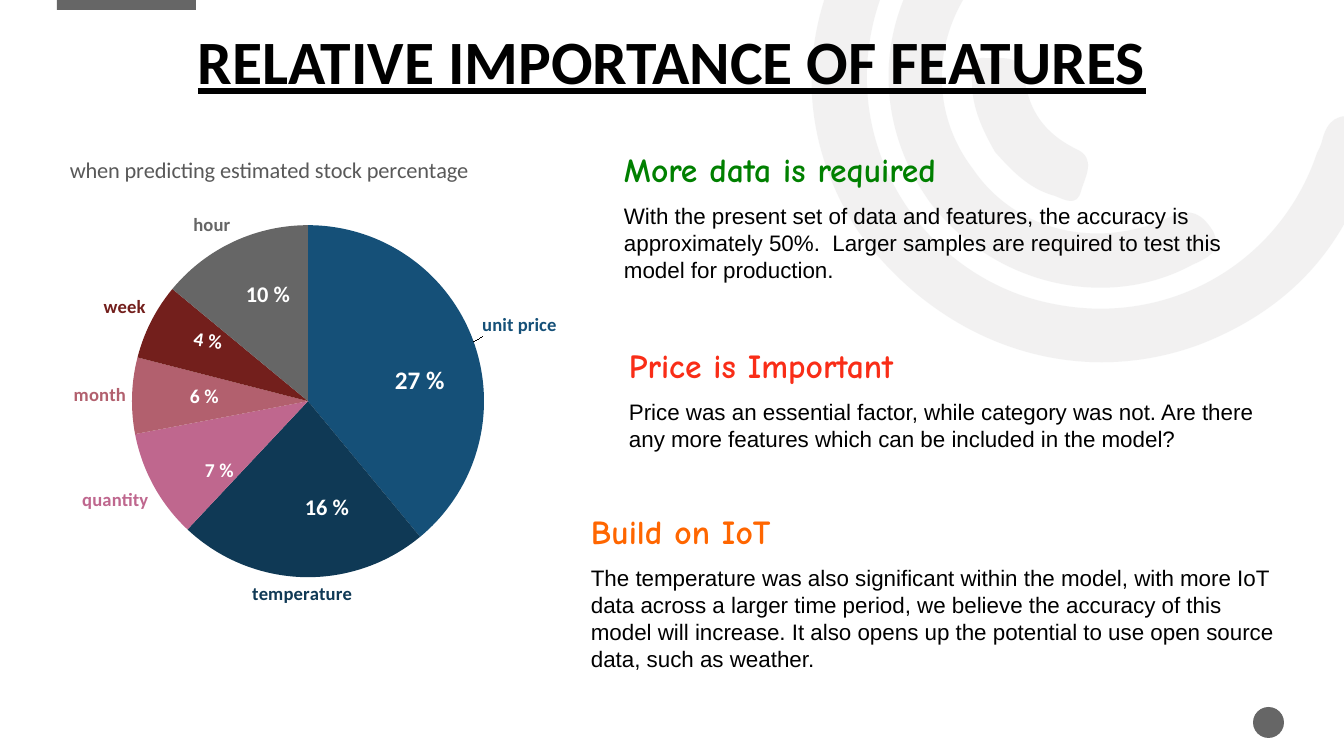
"""Build the slide on the relative importance of features."""
import math
import pptx
import pptx.chart.data
import pptx.dml.color
import pptx.enum.chart
import pptx.enum.shapes
import pptx.enum.text
import pptx.oxml
import pptx.oxml.ns
import pptx.util

COLORS = {
    "grey": "666666", "ring": "E7E6E6", "black": "000000", "white": "FFFFFF",
    "caption": "595959", "blue": "155078", "navy": "0F3955", "pink": "BF678E",
    "rose": "B2606E", "maroon": "731F1C", "green": "008000", "red": "F92D17",
    "orange": "FF6600",
}
TITLE = "RELATIVE IMPORTANCE OF FEATURES"
CAPTION = "when predicting estimated stock percentage"
FEATURES = [
    ("unit price", 39, "blue"), ("temperature", 23, "navy"), ("quantity", 10, "pink"),
    ("month", 7, "rose"), ("week", 7, "maroon"), ("hour", 14, "grey"),
]
SHARES = [
    ("27 %", (385, 359, 124, 40), 18, 0), ("16 %", (295, 488, 124, 37), 16, 0),
    ("7 %", (195, 453, 54, 34), 14, 0), ("6 %", (180, 379, 70, 34), 14, 0),
    ("4 %", (184, 323, 49, 34), 14, 8.9), ("10 %", (236, 275, 129, 37), 16, 0),
]
FINDINGS = [
    ("More data is required", "green", (614, 144, 673, 146),
     "With the present set of data and features, the accuracy is approximately 50%.  "
     "Larger samples are required to test this model for production."),
    ("Price is Important", "red", (619, 340, 673, 119),
     "Price was an essential factor, while category was not. Are there any more "
     "features which can be included in the model?"),
    ("Build on IoT", "orange", (581, 506, 706, 204),
     "The temperature was also significant within the model, with more IoT data across "
     "a larger time period, we believe the accuracy of this model will increase. It also "
     "opens up the potential to use open source data, such as weather."),
]
RINGS = [
    [(858, 231), (805, 150), (793, 50), (845, -50), (897, -153), (984, -205), (1099, -209),
     (1114, -209), (1132, -212), (1140, -197), (1154, -176), (1136, -155), (1107, -155),
     (975, -155), (872, -59), (867, 69), (863, 182), (943, 283), (1054, 304),
     (1169, 327), (1280, 263), (1317, 153), (1319, 149), (1321, 145), (1322, 141),
     (1327, 120), (1338, 112), (1360, 118), (1384, 125), (1378, 142), (1372, 157),
     (1346, 247), (1290, 309), (1201, 344), (1079, 390), (943, 348), (858, 231)],
    [(929, 201), (869, 116), (876, 7), (948, -69), (959, -80), (970, -96), (988, -79),
     (1003, -65), (1005, -50), (987, -32), (932, 26), (927, 109), (973, 169),
     (1015, 231), (1097, 251), (1170, 217), (1191, 207), (1202, 214), (1213, 231),
     (1223, 252), (1207, 258), (1192, 265), (1105, 312), (991, 284), (929, 201)],
    [(995, 152), (983, 131), (972, 108), (972, 83), (972, 74), (969, 57), (984, 58),
     (1000, 59), (1021, 53), (1024, 77), (1029, 111), (1044, 133), (1076, 149),
     (1097, 158), (1085, 177), (1081, 191), (1077, 207), (1065, 200), (1055, 196),
     (1029, 189), (1012, 171), (995, 152)],
]
RING_ANGLE = 144.2
CHART = (13, 136, 607, 485)
PIE = (132, 225, 352, 352)
CAPTION_AT = (66, 151)
UNIT_PRICE_SHIFT = (3, -3)
PIXEL = 914400 / 100.8


def emu(pixels):
    return [pptx.util.Emu(round(value * PIXEL)) for value in pixels]


def rgb(name):
    return pptx.dml.color.RGBColor.from_string(COLORS[name])


def format_font(font, color, **values):
    font.color.rgb = rgb(color)
    for name, value in values.items():
        setattr(font, name, pptx.util.Pt(value) if name == "size" else value)


def add_span(para, text, color, **values):
    span = para.add_run()
    span.text = text
    format_font(span.font, color, **values)


def paint(shape, color):
    shape.shadow.inherit = False
    shape.fill.solid()
    shape.fill.fore_color.rgb = rgb(color)
    shape.line.fill.background()


def turn(point, degrees):
    x, y = point
    cosine, sine = math.cos(math.radians(degrees)), math.sin(math.radians(degrees))
    return x * cosine - y * sine, x * sine + y * cosine


def add_ring(page, points):
    qn = pptx.oxml.ns.qn
    corners = [emu(turn(point, -RING_ANGLE)) for point in points]
    builder = page.shapes.build_freeform(*corners[0])
    builder.add_line_segments(corners[1:], close=True)
    ring = builder.convert_to_shape()
    paint(ring, "ring")
    x, y = turn((ring.left + ring.width / 2, ring.top + ring.height / 2), RING_ANGLE)
    ring.left, ring.top = round(x - ring.width / 2), round(y - ring.height / 2)
    ring.rotation = RING_ANGLE
    lines = list(ring.element.iter(qn("a:lnTo")))
    for first in range(0, len(points) - 1, 3):
        curve = pptx.oxml.parse_xml(f'<a:cubicBezTo {pptx.oxml.ns.nsdecls("a")}/>')
        lines[first].addprevious(curve)
        for line in lines[first:first + 3]:
            curve.append(line[0])
            line.getparent().remove(line)
    color = next(ring.element.spPr.iter(qn("a:srgbClr")))
    color.append(pptx.oxml.parse_xml(
        f'<a:alpha {pptx.oxml.ns.nsdecls("a")} val="53000"/>'))


def place(parent, index, values, modes=(), target=None):
    for old in parent.findall(pptx.oxml.ns.qn("c:layout")):
        parent.remove(old)
    items = [("layoutTarget", target)] if target else []
    items += [(mode, "edge") for mode in modes]
    items += list(zip("xywh", (round(value, 3) for value in values)))
    body = "".join(f'<c:{tag} val="{value}"/>' for tag, value in items)
    parent.insert(index, pptx.oxml.parse_xml(
        f'<c:layout {pptx.oxml.ns.nsdecls("c")}><c:manualLayout>{body}'
        "</c:manualLayout></c:layout>"))


def add_background(page):
    kinds = pptx.enum.shapes.MSO_SHAPE
    for kind, area in ((kinds.RECTANGLE, (57, -2, 139, 12)), (kinds.OVAL, (1253, 707, 31, 31))):
        paint(page.shapes.add_shape(kind, *emu(area)), "grey")
    for points in RINGS:
        add_ring(page, points)


def add_title(page):
    title = page.shapes.title
    title.left, title.top, title.width, title.height = emu((0, 28, 1344, 70))
    title.element.getparent().append(title.element)
    frame = title.text_frame
    settings = {"margin_left": 0, "margin_right": 0, "margin_top": 0, "margin_bottom": 0,
                "vertical_anchor": pptx.enum.text.MSO_ANCHOR.BOTTOM,
                "auto_size": pptx.enum.text.MSO_AUTO_SIZE.NONE, "word_wrap": True}
    for name, value in settings.items():
        setattr(frame, name, value)
    para = frame.paragraphs[0]
    para.alignment = pptx.enum.text.PP_ALIGN.CENTER
    para.line_spacing = 0.9
    add_span(para, TITLE, "black", size=44, name="Calibri", bold=True, underline=True)


def add_pie(page):
    data = pptx.chart.data.CategoryChartData()
    data.categories = [name for name, _, _ in FEATURES]
    data.add_series("Series 1", [value for _, value, _ in FEATURES])
    chart = page.shapes.add_chart(
        pptx.enum.chart.XL_CHART_TYPE.PIE, *emu(CHART), data).chart
    chart.has_legend = False
    format_font(chart.font, "black", size=10, name="Calibri")
    chart.has_title = True
    add_span(chart.chart_title.text_frame.paragraphs[0], CAPTION, "caption",
             size=16, name="Calibri", bold=False)
    plot = chart.plots[0]
    plot.vary_by_categories = True
    series = plot.series[0]
    for index, (_, _, color) in enumerate(FEATURES):
        point = series.points[index]
        point.format.fill.solid()
        point.format.fill.fore_color.rgb = rgb(color)
        point.format.line.fill.background()
        label = point.data_label
        format_font(label.font, color, size=13.3, name="Calibri", bold=True)
        label.position = pptx.enum.chart.XL_LABEL_POSITION.OUTSIDE_END
    qn = pptx.oxml.ns.qn
    for tag, shown in (("c:showVal", "0"), ("c:showCatName", "1"), ("c:showPercent", "0")):
        for flag in series._element.iter(qn(tag)):
            flag.set("val", shown)
    left, top, width, height = CHART
    x, y, w, h = PIE
    place(plot._element.getparent(), 0,
          ((x - left) / width, (y - top) / height, w / width, h / height),
          ("xMode", "yMode"), "inner")
    place(chart.chart_title._element, 1,
          ((CAPTION_AT[0] - left) / width, (CAPTION_AT[1] - top) / height), ("xMode", "yMode"))
    place(next(series._element.iter(qn("c:dLbl"))), 1,
          (UNIT_PRICE_SHIFT[0] / width, UNIT_PRICE_SHIFT[1] / height))


def add_box(page, area, wrap=True):
    box = page.shapes.add_textbox(*emu(area))
    box.text_frame.word_wrap = wrap
    box.text_frame.auto_size = pptx.enum.text.MSO_AUTO_SIZE.SHAPE_TO_FIT_TEXT
    return box


def add_texts(page):
    for text, area, size, rotation in SHARES:
        box = add_box(page, area, not rotation)
        box.rotation = rotation
        add_span(box.text_frame.paragraphs[0], text, "white", size=size, name="Calibri", bold=True)
    for heading, color, area, body in FINDINGS:
        frame = add_box(page, area).text_frame
        para = frame.paragraphs[0]
        para.space_after = pptx.util.Pt(9.5)
        add_span(para, heading, color, size=24, name="Comic Neue", bold=True)
        add_span(frame.add_paragraph(), body, "black", size=16, name="Arial", bold=False)


deck = pptx.Presentation()
deck.slide_width, deck.slide_height = emu((1344, 756))
page = deck.slides.add_slide(deck.slide_layouts[5])
add_background(page)
add_title(page)
add_pie(page)
add_texts(page)
deck.save("out.pptx")
